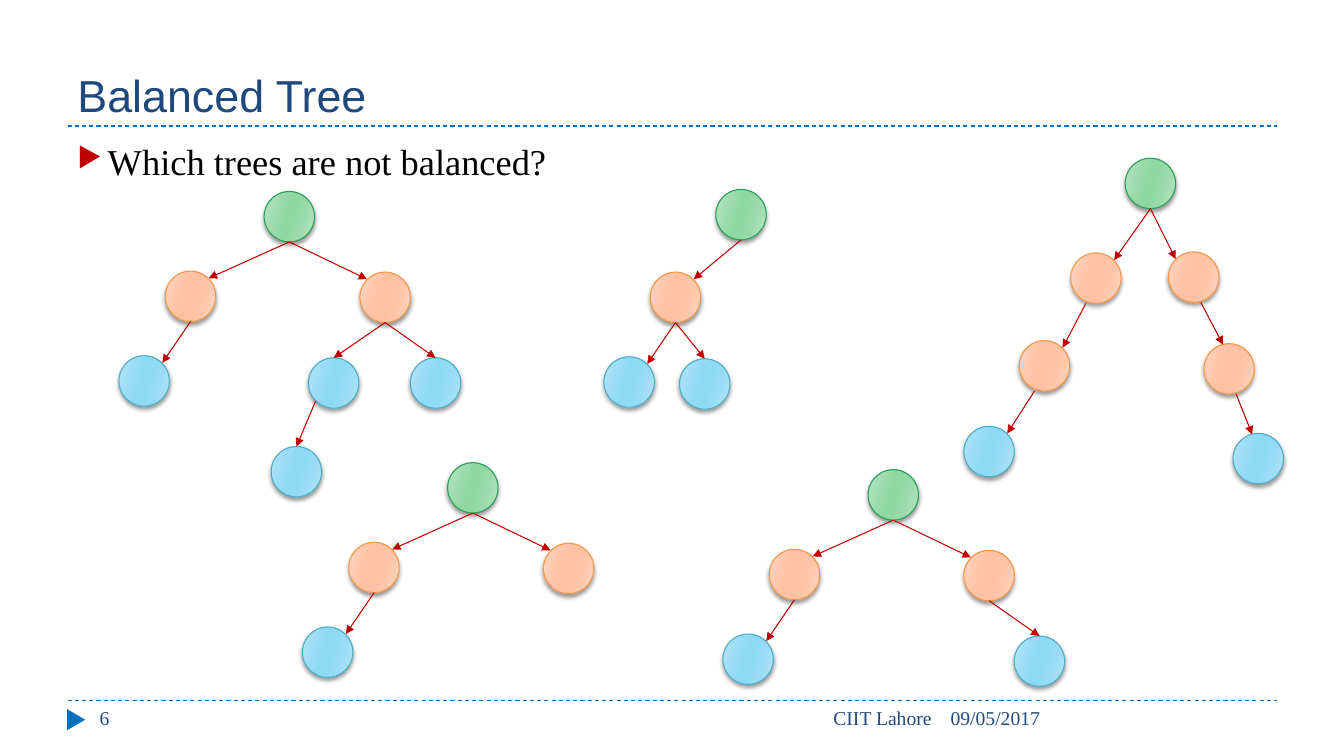
from lxml import etree
from pptx import Presentation
from pptx.dml.color import RGBColor
from pptx.enum.dml import MSO_LINE
from pptx.enum.shapes import MSO_CONNECTOR, MSO_SHAPE
from pptx.enum.text import MSO_ANCHOR, PP_ALIGN
from pptx.oxml.ns import qn
from pptx.util import Inches, Pt

LINE = MSO_CONNECTOR.STRAIGHT
OVAL, WEDGE = MSO_SHAPE.OVAL, MSO_SHAPE.ISOSCELES_TRIANGLE
DASH = MSO_LINE.DASH
TOP, BOTTOM = MSO_ANCHOR.TOP, MSO_ANCHOR.BOTTOM
LEFT, RIGHT = PP_ALIGN.LEFT, PP_ALIGN.RIGHT

HUES = {"rule": "0070C0", "navy": "1F497D", "red": "C00000", "black": "000000"}
# Node kind: outline, then gradient colours from the rim to the middle
NODES = {
    "root": ("279D57", ("BBE4C5", "9BDBAB", "8FD8A1")),
    "mid": ("F79646", ("FFD7C5", "FFC6AA", "FFC1A1")),
    "leaf": ("4BACC6", ("B9E5F7", "99DCF6", "8DD9F6")),
}
STOPS = ((0, 0), (30, 1), (45, 2), (55, 2), (73, 1), (100, 0))
SIZE = 0.5

# Where an arrow meets a node, as an offset from the node's centre
PORTS = {
    "top": (0, -0.25), "base": (0, 0.25),
    "nw": (-0.18, -0.18), "ne": (0.18, -0.18), "sw": (-0.18, 0.18),
    "nnw": (-0.06, -0.24), "ssw": (-0.1, 0.25), "sse": (0.07, 0.25),
}

# Node rows: kind, x and y from the root, parent index, start port, end port
CORE = [
    ("mid", -0.98, 0.79, 0, "base", "ne"),
    ("mid", 0.95, 0.8, 0, "base", "nw"),
    ("leaf", -1.44, 1.63, 1, "base", "ne"),
]
FAR = ("leaf", 1.45, 1.65, 2, "base", "top")
TREES = [
    (2.62, 1.9, CORE + [
        FAR,
        ("leaf", 0.44, 1.65, 2, "base", "top"),
        ("leaf", 0.07, 2.53, 5, "sw", "top"),
    ]),
    (7.1, 1.88, [
        ("mid", -0.65, 0.82, 0, "base", "ne"),
        ("leaf", -1.11, 1.66, 1, "base", "ne"),
        ("leaf", -0.36, 1.68, 1, "base", "top"),
    ]),
    (8.61, 4.66, CORE + [FAR]),
    (4.44, 4.59, CORE),
    (11.16, 1.57, [
        ("mid", -0.54, 0.94, 0, "base", "ne"),
        ("mid", 0.43, 0.93, 0, "base", "nw"),
        ("mid", -1.05, 1.81, 1, "ssw", "ne"),
        ("mid", 0.78, 1.84, 2, "sse", "nnw"),
        ("leaf", -1.6, 2.66, 3, "ssw", "ne"),
        ("leaf", 1.07, 2.73, 4, "sse", "nnw"),
    ]),
]


def rgb(code):
    return RGBColor.from_string(code)


def add(parent, tag, **attrs):
    return etree.SubElement(parent, qn(tag), {k: str(v) for k, v in attrs.items()})


def apply(item, form):
    for name, value in form.items():
        setattr(item, name, value)


class Painter:
    small = {"name": "Times New Roman", "size": Pt(14)}
    title = {"name": "Arial", "size": Pt(32)}
    body = {"name": "Times New Roman", "size": Pt(26)}

    def __init__(self, slide):
        self.slide = slide

    def text(self, words, box, font, hue="navy", anchor=TOP, align=LEFT, bullet=False):
        shape = self.slide.shapes.add_textbox(*map(Inches, box))
        apply(shape.text_frame, {"word_wrap": True, "vertical_anchor": anchor})
        para = shape.text_frame.paragraphs[0]
        para.alignment = align
        if bullet:
            props = para._p.get_or_add_pPr()
            props.set("marL", str(Inches(0.3)))
            props.set("indent", str(Inches(-0.3)))
            add(add(props, "a:buClr"), "a:srgbClr", val=HUES["red"])
            add(props, "a:buSzPct", val=76000)
            add(props, "a:buChar", char="▶")
        run = para.add_run()
        run.text = words
        apply(run.font, font)
        run.font.color.rgb = rgb(HUES[hue])

    def line(self, start, end, hue, dash=None, arrow=False):
        link = self.slide.shapes.add_connector(LINE, *map(Inches, (*start, *end)))
        apply(link.line, {"width": Pt(0.75), "dash_style": dash})
        link.line.color.rgb = rgb(HUES[hue])
        if arrow:
            add(link.line._get_or_add_ln(), "a:tailEnd", type="triangle")
        add(link._element.spPr, "a:effectLst")

    def wedge(self, box, hue):
        shape = self.slide.shapes.add_shape(WEDGE, *map(Inches, box))
        shape.rotation = 90
        shape.shadow.inherit = False
        shape.fill.solid()
        shape.fill.fore_color.rgb = rgb(HUES[hue])
        shape.line.fill.background()

    def node(self, kind, x, y):
        edge, tints = NODES[kind]
        shape = self.slide.shapes.add_shape(OVAL, *map(Inches, (x, y, SIZE, SIZE)))
        shape.line.width = Pt(0.75)
        shape.line.color.rgb = rgb(edge)
        shape.shadow.inherit = False
        props = shape._element.spPr
        # Gradient fill, placed right after the geometry
        grad = etree.Element(qn("a:gradFill"), rotWithShape="1")
        stops = add(grad, "a:gsLst")
        for spot, tint in STOPS:
            add(add(stops, "a:gs", pos=spot * 1000), "a:srgbClr", val=tints[tint])
        add(grad, "a:lin", ang=16 * 60000, scaled=0)
        props.find(qn("a:prstGeom")).addnext(grad)
        # Soft shadow below the node
        glow = add(props.find(qn("a:effectLst")), "a:outerShdw", blurRad=Pt(3),
                   dist=Pt(2), dir=90 * 60000, rotWithShape=0)
        add(add(glow, "a:srgbClr", val=HUES["black"]), "a:alpha", val=40000)

    def tree(self, left, top, rows):
        spots = [(left, top)] + [(left + row[1], top + row[2]) for row in rows]
        kinds = ["root"] + [row[0] for row in rows]
        for kind, spot in zip(kinds, spots):
            self.node(kind, *spot)
        for child, row in zip(spots[1:], rows):
            ends = zip((spots[row[3]], child), row[4:])
            points = [(x + SIZE / 2 + PORTS[port][0], y + SIZE / 2 + PORTS[port][1])
                      for (x, y), port in ends]
            self.line(*points, "red", arrow=True)


def main():
    deck = Presentation()
    apply(deck, {"slide_width": Inches(13.33), "slide_height": Inches(7.5)})
    art = Painter(deck.slides.add_slide(deck.slide_layouts[6]))

    # Rules and page marker
    for y in (6.95, 1.25):
        art.line((0.67, y), (12.67, y), "rule", dash=DASH)
    art.wedge((0.65, 7.05, 0.21, 0.18), "rule")

    # Title, footer and question
    art.text("Balanced Tree", (0.67, 0.17, 12, 1.08), art.title, anchor=BOTTOM)
    art.text("09/05/2017", (9.33, 6.95, 3.34, 0.4), art.small)
    art.text("CIIT Lahore", (4.23, 6.95, 5.11, 0.4), art.small, align=RIGHT)
    art.text("6", (0.89, 6.95, 2.89, 0.4), art.small)
    art.text("Which trees are not balanced?", (0.67, 1.33, 12, 5.4), art.body,
             hue="black", bullet=True)

    # Trees
    for tree in TREES:
        art.tree(*tree)

    deck.save("out.pptx")


if __name__ == "__main__":
    main()
